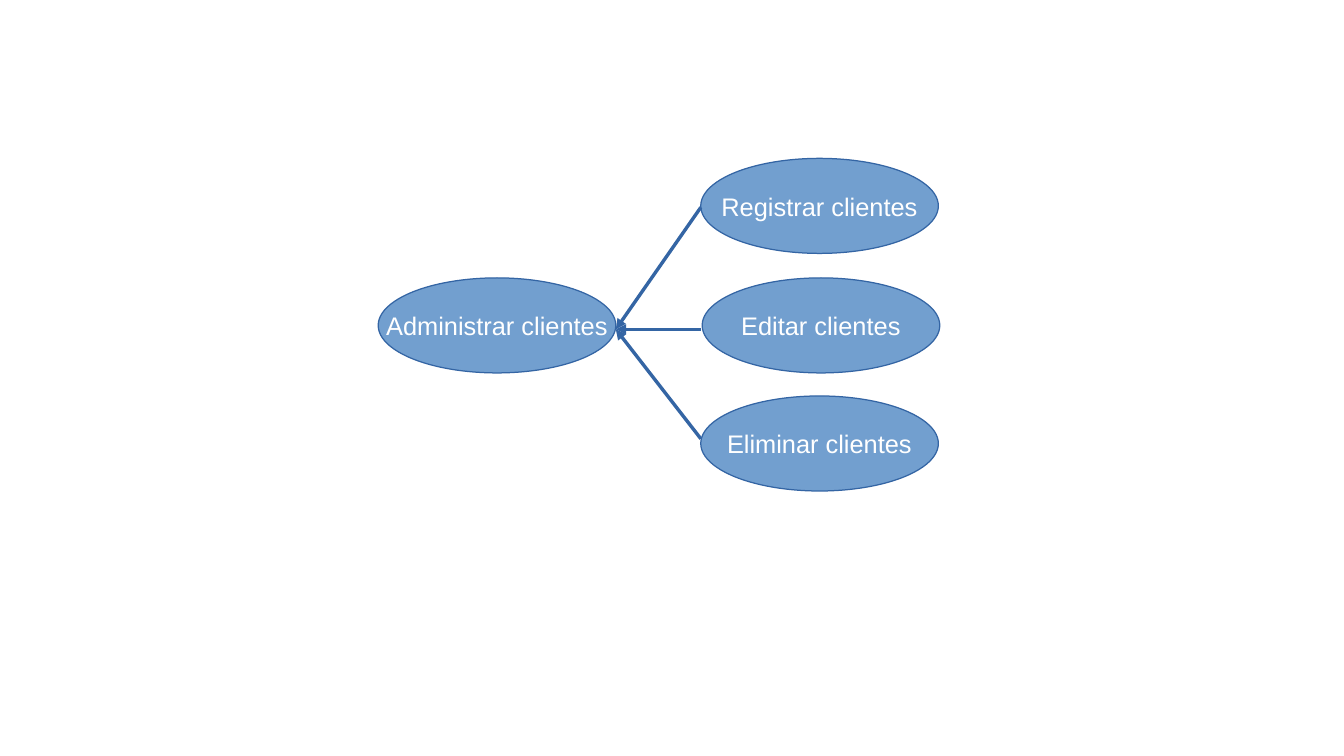
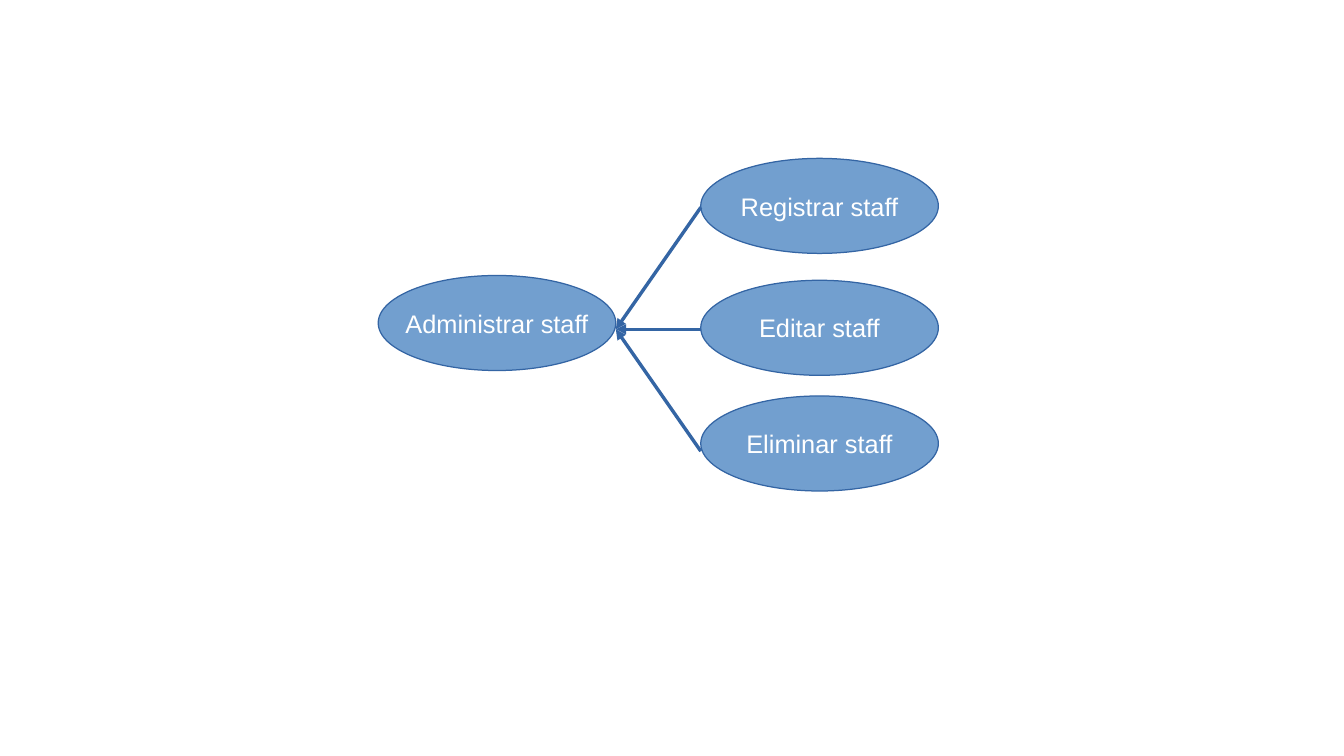
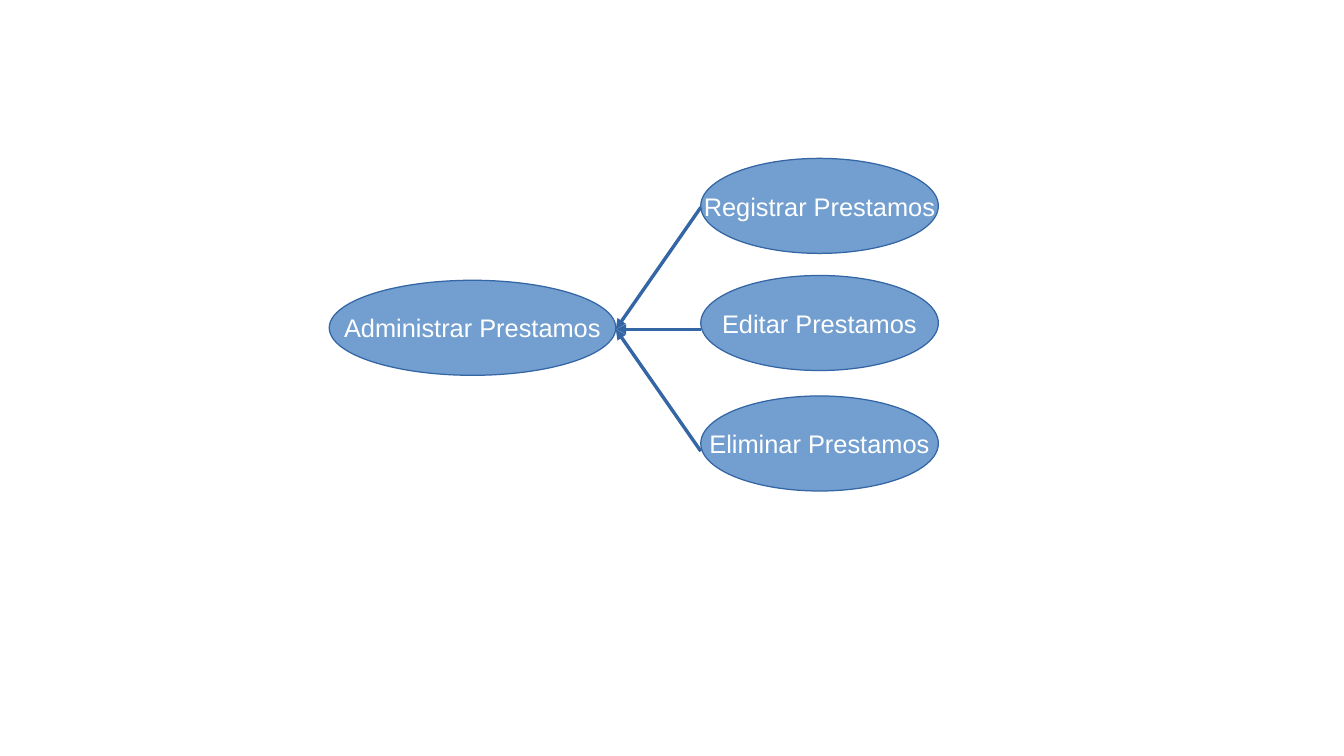
from lxml import etree
from pptx import Presentation
from pptx.dml.color import RGBColor
from pptx.enum.shapes import MSO_CONNECTOR, MSO_SHAPE
from pptx.enum.text import MSO_ANCHOR, PP_ALIGN
from pptx.oxml.ns import qn
from pptx.util import Cm, Pt

OVAL = MSO_SHAPE.OVAL
LINE = MSO_CONNECTOR.STRAIGHT
MIDDLE = MSO_ANCHOR.MIDDLE
CENTER = PP_ALIGN.CENTER

COLORS = {"fill": "729FCF", "line": "3465A4", "text": "FFFFFF"}
FONT = "Arial"
WIDTH, HEIGHT = 4.95, 1.98
HUB, CASE = 12.83, 14.6
TOP, LOW = 3.3, 8.25
AXIS, STEP = 6.86, 2.54


def color(name):
    return RGBColor.from_string(COLORS[name])


def write(frame, text, size=15, tint="text", align=CENTER):
    frame.word_wrap = False
    frame.vertical_anchor = MIDDLE
    par = frame.paragraphs[0]
    par.alignment = align
    run = par.add_run()
    run.text = text
    run.font.name = FONT
    run.font.size = Pt(size)
    run.font.color.rgb = color(tint)


class Deck:
    def __init__(self):
        self.show = Presentation()
        self.show.slide_width = Cm(28)
        self.show.slide_height = Cm(15.75)
        self.slide = None

    def page(self):
        self.slide = self.show.slides.add_slide(self.show.slide_layouts[6])

    def stroke(self, line):
        line.color.rgb = color("line")
        line.width = Pt(0)

    def oval(self, text, left, top, width=WIDTH):
        shape = self.slide.shapes.add_shape(
            OVAL, Cm(left), Cm(top), Cm(width), Cm(HEIGHT))
        shape.shadow.inherit = False
        shape.fill.solid()
        shape.fill.fore_color.rgb = color("fill")
        self.stroke(shape.line)
        write(shape.text_frame, text)

    def arrow(self, start, end):
        link = self.slide.shapes.add_connector(
            LINE, *(Cm(value) for value in start + end))
        self.stroke(link.line)
        props = link.element.spPr
        tail = etree.SubElement(props.find(qn("a:ln")), qn("a:tailEnd"))
        tail.set("type", "triangle")
        etree.SubElement(props, qn("a:effectLst"))

    def cases(self, topic, hub, edit, width=WIDTH, shift=0, last=AXIS + STEP):
        self.page()
        self.oval(f"Administrar {topic}", HUB - width, hub, width)
        self.oval(f"Registrar {topic}", CASE, TOP)
        self.oval(f"Editar {topic}", CASE + shift, edit)
        self.oval(f"Eliminar {topic}", CASE, LOW)
        for level in (AXIS - STEP, AXIS, last):
            self.arrow((CASE, level), (HUB, AXIS))


def main():
    deck = Deck()
    deck.cases("clientes", 5.79, 5.79, shift=0.03, last=9.14)
    deck.cases("staff", 5.74, 5.84)
    deck.cases("Prestamos", 5.84, 5.74, width=5.97)
    deck.show.save("out.pptx")


if __name__ == "__main__":
    main()
